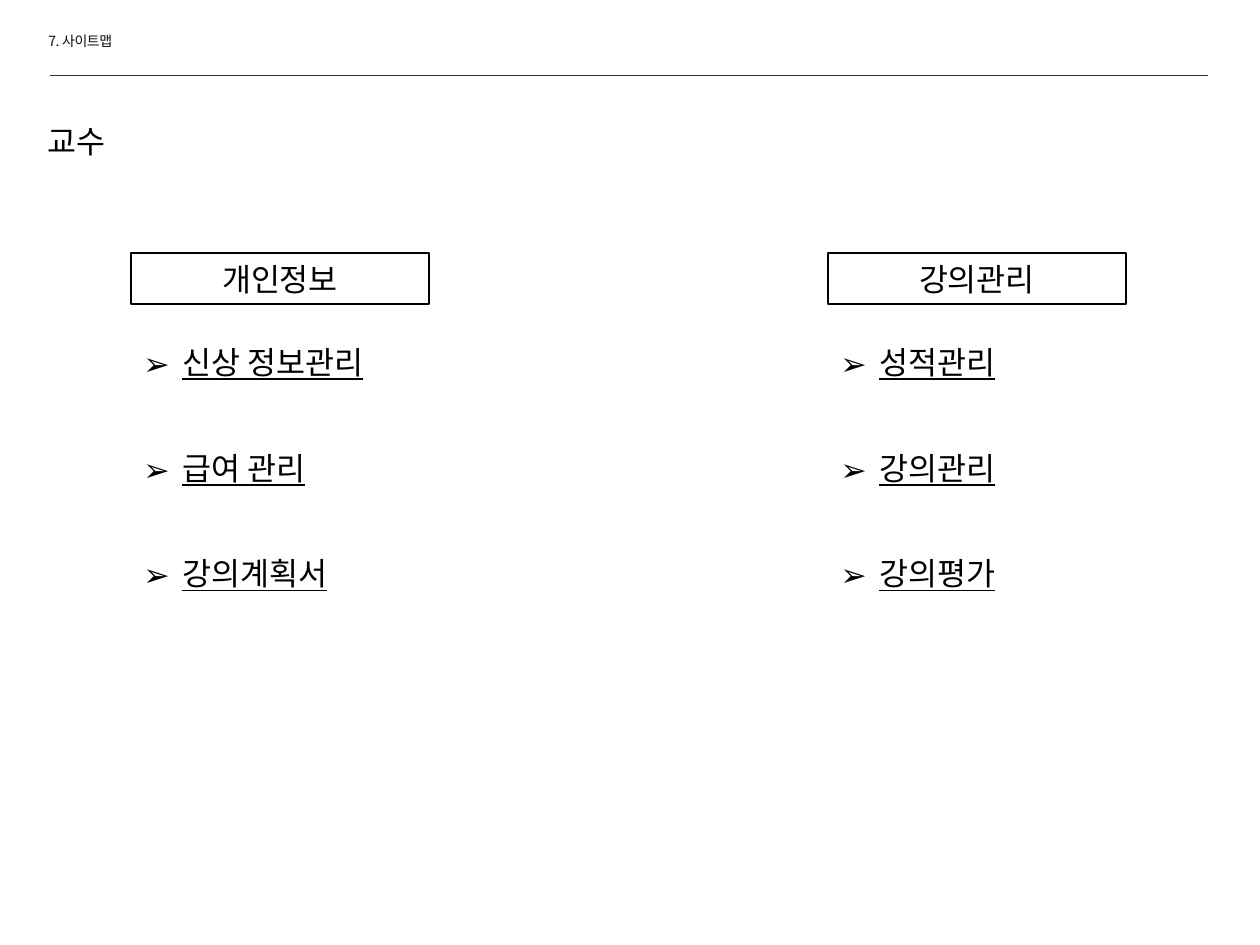
from dataclasses import dataclass

from lxml.etree import SubElement
from pptx import Presentation
from pptx.dml.color import RGBColor
from pptx.enum.shapes import MSO_CONNECTOR as Connector, MSO_SHAPE as Preset
from pptx.enum.text import MSO_ANCHOR as Anchor, PP_ALIGN as Align
from pptx.oxml.ns import qn
from pptx.util import Emu, Pt

FONT = "Noto Sans CJK KR"
BLACK = "000000"
MENU_TOP, MENU_WIDTH, MENU_HEIGHT = 253, 298, 51
ITEMS_HEIGHT, ITEMS_INSET, BULLET_INDENT = 318, 39, 39


@dataclass(frozen=True)
class Menu:
    """A menu heading with its linked pages."""

    left: int
    heading: str
    pages: tuple[str, ...]


MENUS = (
    Menu(131, "개인정보", ("신상 정보관리", "급여 관리", "강의계획서")),
    Menu(828, "강의관리", ("성적관리", "강의관리", "강의평가")),
)


def px(length: int) -> Emu:
    """Turn pixels at 126 to the inch into EMU."""
    return Emu(round(length * 914400 / 126))


def color(value: str) -> RGBColor:
    """Turn a hex string into a colour."""
    return RGBColor.from_string(value)


def apply(target, values: dict) -> None:
    """Set each named attribute on the target."""
    for name, value in values.items():
        setattr(target, name, value)


def write(paragraph, text: str, size: int = 18, ink: str = BLACK, underline: bool = False, spacing: int = 0) -> None:
    """Write one formatted run into a paragraph."""
    run = paragraph.add_run()
    run.text = text
    apply(run.font, {"name": FONT, "size": Pt(size), "underline": underline})
    run.font.color.rgb = color(ink)
    properties = run.font._element
    SubElement(properties, qn("a:ea"), typeface=FONT)
    if spacing:
        properties.set("spc", str(spacing))


def add_label(slide, left: int, top: int, width: int, height: int, text: str, **style) -> None:
    """Add a single line of text centred vertically in its box."""
    frame = slide.shapes.add_textbox(px(left), px(top), px(width), px(height)).text_frame
    apply(frame, {"word_wrap": True, "vertical_anchor": Anchor.MIDDLE, "margin_top": 0, "margin_bottom": 0})
    write(frame.paragraphs[0], text, **style)


def add_pages(slide, menu: Menu) -> None:
    """Add the bulleted, underlined pages of a menu."""
    box = slide.shapes.add_textbox(px(menu.left), px(MENU_TOP + MENU_HEIGHT), px(MENU_WIDTH), px(ITEMS_HEIGHT))
    frame = box.text_frame
    apply(frame, {"word_wrap": True, "margin_top": px(ITEMS_INSET)})
    for index, page in enumerate(menu.pages):
        paragraph = frame.add_paragraph() if index else frame.paragraphs[0]
        if index:
            paragraph.space_before = Pt(38.8)
        properties = paragraph._p.get_or_add_pPr()
        properties.set("marL", str(px(BULLET_INDENT)))
        properties.set("indent", str(-px(BULLET_INDENT)))
        SubElement(properties, qn("a:buFont"), typeface=FONT)
        SubElement(properties, qn("a:buChar"), char="➢")
        write(paragraph, page, underline=True)


def add_heading(slide, menu: Menu) -> None:
    """Add the outlined heading of a menu."""
    box = slide.shapes.add_shape(Preset.RECTANGLE, px(menu.left), px(MENU_TOP), px(MENU_WIDTH), px(MENU_HEIGHT))
    box.shadow.inherit = False
    box.fill.solid()
    box.fill.fore_color.rgb = color("FFFFFF")
    box.line.color.rgb = color(BLACK)
    box.line.width = Pt(0.75)
    frame = box.text_frame
    apply(frame, {"vertical_anchor": Anchor.MIDDLE, "margin_top": 0, "margin_bottom": 0})
    frame.paragraphs[0].alignment = Align.CENTER
    write(frame.paragraphs[0], menu.heading)


def add_rule(slide, left: int, right: int, top: int) -> None:
    """Add the thin rule below the section title."""
    rule = slide.shapes.add_connector(Connector.STRAIGHT, px(left), px(top), px(right), px(top))
    rule.line.color.rgb = color("1C314E")
    rule.line.width = Pt(0.25)
    SubElement(rule._element.spPr, qn("a:effectLst"))


def main() -> None:
    """Build and save the site map slide."""
    deck = Presentation()
    apply(deck, {"slide_width": px(1260), "slide_height": px(945)})
    slide = deck.slides.add_slide(deck.slide_layouts[6])
    add_label(slide, 35, 116, 102, 50, "교수")
    for menu in MENUS:
        add_pages(slide, menu)
        add_heading(slide, menu)
    add_label(slide, 36, 26, 218, 30, "7. 사이트맵", size=8, ink="0D0D0D", spacing=-30)
    add_rule(slide, 50, 1208, 75)
    deck.save("out.pptx")


if __name__ == "__main__":
    main()
